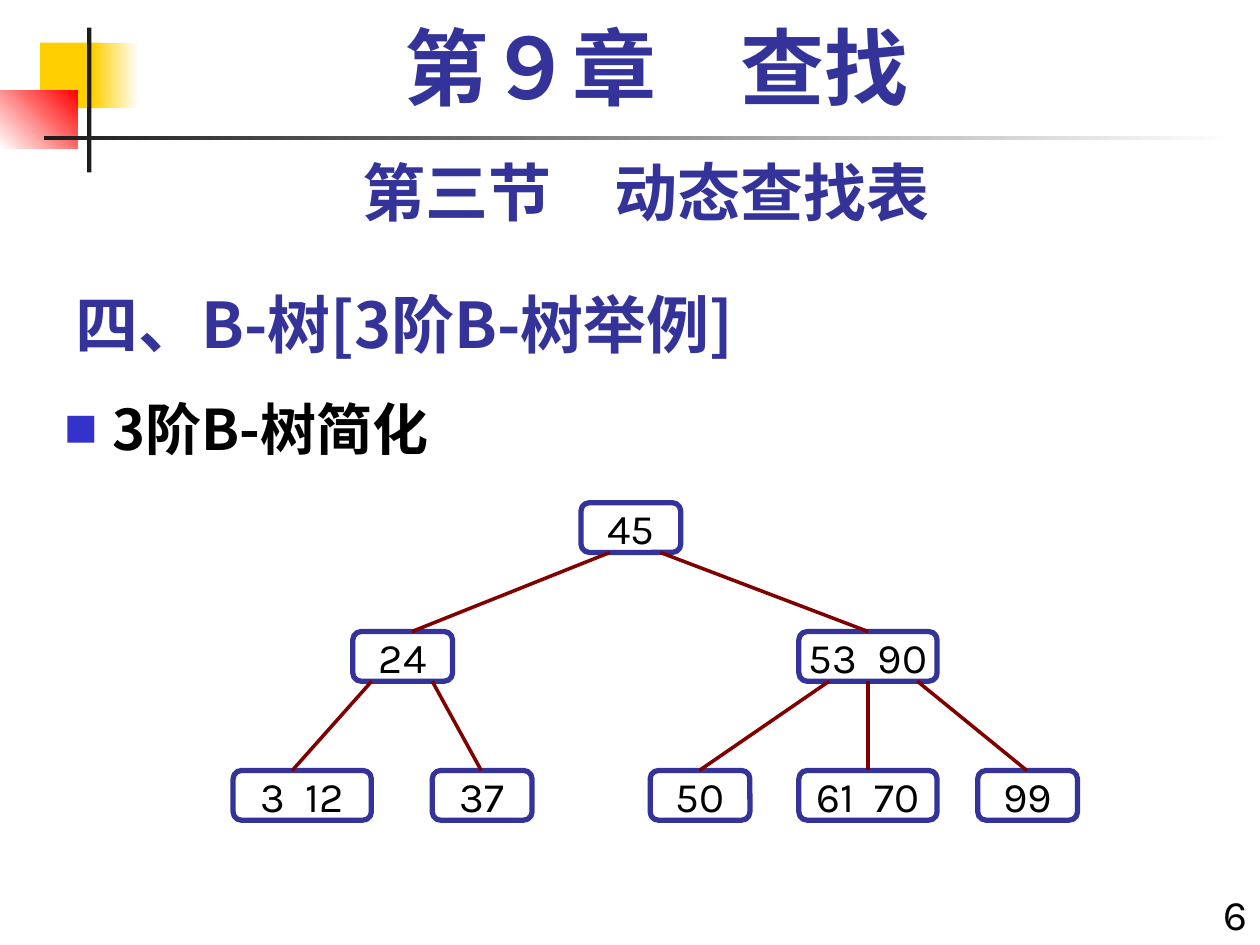
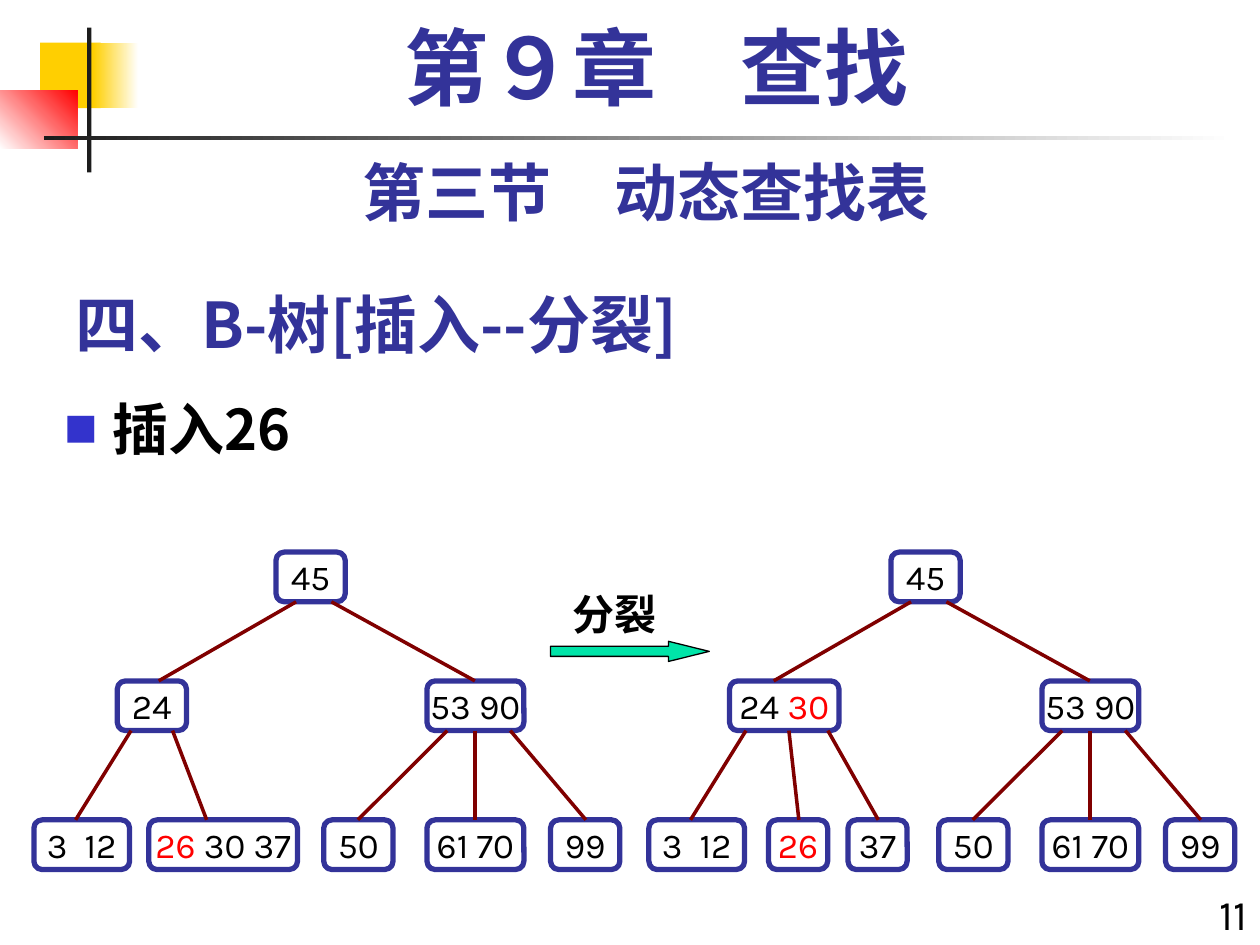
import pptx
import pptx.dml.color
import pptx.enum.shapes
import pptx.enum.text
import pptx.oxml.ns
import pptx.util
from lxml import etree

Pt = pptx.util.Pt
RGB = pptx.dml.color.RGBColor
Kind = pptx.enum.shapes.MSO_SHAPE
Align = pptx.enum.text.PP_ALIGN
Anchor = pptx.enum.text.MSO_ANCHOR
qn = pptx.oxml.ns.qn

NAVY = RGB(0x33, 0x33, 0x99)
BLUE = RGB(0x33, 0x33, 0xCC)
GOLD = RGB(0xFF, 0xCF, 0x01)
RED = RGB(0xFF, 0x00, 0x00)
MAROON = RGB(0x80, 0x00, 0x00)
GREEN = RGB(0x00, 0xE4, 0xA8)
INK = RGB(0x1C, 0x1C, 0x1C)
BLACK = RGB(0x00, 0x00, 0x00)
WHITE = RGB(0xFF, 0xFF, 0xFF)

KARLA = "Karla"
NOTO = "Noto Sans CJK SC"
TIMES = "Times New Roman"

HIGH = 28.4
DROPS = (0, 73.6, 153)
SHIFT = 351.4

# Node: level, left, width, keys ("/" marks a wide gap). Link: level, start x, end x.
NODES = [
    (0, 332, 57, "45"), (1, 201.6, 57, "24"), (1, 456.5, 79, "53/90"),
    (2, 133.2, 79, "3/12"), (2, 247, 57, "37"), (2, 371.5, 57, "50"),
    (2, 456.5, 79, "61/70"), (2, 558.7, 57, "99"),
]
LINKS = [
    (0, 348.5, 235.4), (0, 377.3, 496.1), (1, 212.4, 167), (1, 247, 275),
    (1, 473.8, 399.6), (1, 496.1, 496.1), (1, 524.2, 586.8),
]
SHARED = [
    (0, 157.7, 39.6, "45"), (1, 244, 55.4, "53 90"), (2, 19.4, 54.7, "3/12"),
    (2, 185, 39.6, "50"), (2, 244, 55.4, "61 70"), (2, 314.6, 39.6, "99"),
]
JOINS = [
    (0, 169.2, 90.7), (0, 189.4, 271.4), (1, 74.9, 43.2),
    (1, 255.6, 204.5), (1, 271.4, 271.4), (1, 291.6, 334.8),
]
FULL = [(1, 67, 39.6, "24"), (2, 85, 85, "26 30 37")]
SPLIT = [(1, 65.5, 62.6, "24 30"), (2, 87.8, 33.8, "26"), (2, 133.2, 33.8, "37")]


def style(para, size, face, color=BLACK, bold=False):
    """Set the font of a whole paragraph."""
    font = para.font
    font.size, font.name, font.bold = Pt(size), face, bold
    font.color.rgb = color
    base = para._p.pPr.find(qn("a:defRPr"))
    etree.SubElement(base, qn("a:ea"), typeface=NOTO)


def shape(slide, kind, at, fill=None, line=None, width=1):
    """Add a preset shape without a shadow."""
    item = slide.shapes.add_shape(kind, *map(Pt, at))
    item.shadow.inherit = False
    if fill is None:
        item.fill.background()
    else:
        item.fill.solid()
        item.fill.fore_color.rgb = fill
    if line is None:
        item.line.fill.background()
    else:
        item.line.color.rgb = line
        item.line.width = Pt(width)
    return item


def fade(slide, at, start, end, angle=0):
    """Add a rectangle with a two-colour gradient."""
    fill = shape(slide, Kind.RECTANGLE, at).fill
    fill.gradient()
    fill.gradient_angle = angle
    for stop, color in zip(fill.gradient_stops, (start, end)):
        stop.color.rgb = color


def label(slide, at, text, size, face, color=BLACK, bold=True,
          align=Align.CENTER, anchor=Anchor.TOP, space=1, mark=False):
    """Add a one-paragraph text box, with a square bullet if marked."""
    frame = slide.shapes.add_textbox(*map(Pt, at)).text_frame
    frame.word_wrap = True
    frame.vertical_anchor = anchor
    para = frame.paragraphs[0]
    para.text = text
    para.alignment = align
    para.line_spacing = space
    if mark:
        bullet(para)
    style(para, size, face, color, bold)


def bullet(para):
    """Give a paragraph a hanging square bullet."""
    props = para._p.get_or_add_pPr()
    props.set("marL", str(Pt(27)))
    props.set("indent", str(-Pt(27)))
    tint = etree.SubElement(props, qn("a:buClr"))
    etree.SubElement(tint, qn("a:srgbClr"), val=str(BLUE))
    etree.SubElement(props, qn("a:buSzPct"), val="60000")
    etree.SubElement(props, qn("a:buFont"), typeface=NOTO)
    etree.SubElement(props, qn("a:buChar"), char="■")


def node(slide, at, keys, size, fresh):
    """Add a tree node and show its fresh keys in red."""
    item = shape(slide, Kind.ROUNDED_RECTANGLE, at, line=NAVY, width=3)
    frame = item.text_frame
    frame.word_wrap = False
    frame.vertical_anchor = Anchor.MIDDLE
    para = frame.paragraphs[0]
    para.alignment = Align.CENTER
    style(para, size, KARLA)
    for i, key in enumerate(keys.replace("/", " ").split()):
        if i:
            gap = para.add_run()
            gap.text = " "
            if "/" in keys:
                gap._r.get_or_add_rPr().set("spc", str(size * 25))
        run = para.add_run()
        run.text = key
        run.font.color.rgb = RED if key in fresh else BLACK


def link(slide, x1, y1, x2, y2):
    """Add a branch line between two levels."""
    line = slide.shapes.add_connector(
        pptx.enum.shapes.MSO_CONNECTOR.STRAIGHT, *map(Pt, (x1, y1, x2, y2)))
    line.line.color.rgb = MAROON
    line.line.width = Pt(2)
    etree.SubElement(line._element.spPr, qn("a:effectLst"))


def tree(slide, top, size, nodes, links, fresh=(), shift=0):
    """Draw a tree from its nodes and links."""
    for level, left, width, keys in nodes:
        at = (left + shift, top + DROPS[level], width, HIGH)
        node(slide, at, keys, size, fresh)
    for level, start, end in links:
        link(slide, start + shift, top + DROPS[level] + HIGH,
             end + shift, top + DROPS[level + 1])


def page(deck, title, point, number):
    """Add a slide with the shared decoration and headings."""
    slide = deck.slides.add_slide(deck.slide_layouts[6])
    shape(slide, Kind.RECTANGLE, (23, 24.3, 34.5, 37.5), GOLD)
    fade(slide, (53.3, 24.3, 25.8, 37.5), GOLD, WHITE)
    fade(slide, (0, 51.6, 44.3, 33.4), WHITE, RED, 45)
    shape(slide, Kind.RECTANGLE, (49.8, 15.8, 2.5, 82.8), INK)
    fade(slide, (25, 77.8, 680.4, 2.4), INK, WHITE)
    label(slide, (48, 12, 654, 60), "第９章　查找", 48, TIMES, NAVY, space=0.9)
    label(slide, (36, 84, 666, 50.4), "第三节　动态查找表", 36, KARLA, NAVY)
    label(slide, (36, 156, 492, 54), title, 36, NOTO, NAVY,
          align=Align.LEFT, anchor=Anchor.BOTTOM)
    label(slide, (30, 222, 690, 318), point, 32, NOTO,
          align=Align.LEFT, mark=True)
    label(slide, (672, 504, 48, 42), number, 24, KARLA,
          bold=False, align=Align.RIGHT)
    return slide


def main():
    """Build and save the deck."""
    deck = pptx.Presentation()
    deck.slide_width, deck.slide_height = Pt(720), Pt(540)

    slide = page(deck, "四、B-树[3阶B-树举例]", "3阶B-树简化", "6")
    tree(slide, 287.3, 24, NODES, LINKS)

    slide = page(deck, "四、B-树[插入--分裂]", "插入26", "11")
    tree(slide, 315.5, 20, SHARED + FULL, JOINS + [(1, 98.6, 118.1)], {"26"})
    tree(slide, 315.5, 20, SHARED + SPLIT,
         JOINS + [(1, 99.4, 105.1), (1, 121.7, 150.5)], {"26", "30"}, SHIFT)
    arrow = shape(slide, Kind.RIGHT_ARROW, (314.6, 366.5, 90.7, 11.5),
                  GREEN, BLACK, 0.75)
    arrow.adjustments[0], arrow.adjustments[1] = 0.5, 2.02
    label(slide, (314.6, 332.6, 73.4, 36), "分裂", 24, KARLA)

    deck.save("out.pptx")


if __name__ == "__main__":
    main()
